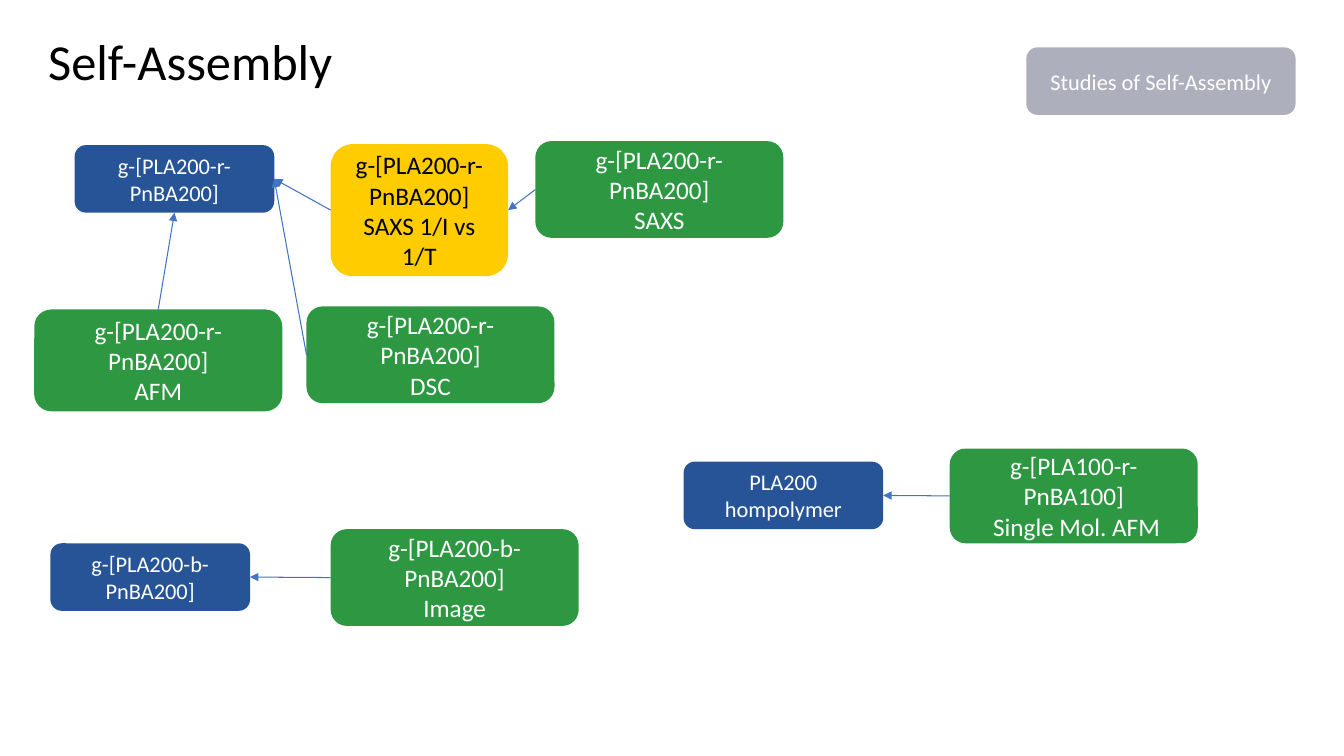
from pptx import Presentation
from pptx.dml.color import RGBColor
from pptx.enum.shapes import MSO_CONNECTOR, MSO_SHAPE
from pptx.enum.text import MSO_ANCHOR, PP_ALIGN
from pptx.oxml.ns import qn
from pptx.util import Inches, Pt
from lxml.etree import SubElement

WHITE = RGBColor(0xFF, 0xFF, 0xFF)
BLACK = RGBColor(0x00, 0x00, 0x00)
GRAY = RGBColor(0xAD, 0xAF, 0xBD)
YELLOW = RGBColor(0xFF, 0xCC, 0x00)
BLUE = RGBColor(0x27, 0x54, 0x97)
GREEN = RGBColor(0x2D, 0x97, 0x42)
ARROW_BLUE = RGBColor(0x44, 0x72, 0xC4)

FONT = "Calibri"
TOP, LEFT, BOTTOM, RIGHT = range(4)
TITLE = "Self-Assembly"

STYLES = {
    "section": (GRAY, WHITE, 16),
    "sample": (BLUE, WHITE, 16),
    "analysis": (YELLOW, BLACK, 18),
    "data": (GREEN, WHITE, 18),
}

BOXES = {
    "section": ("section", 10.18, 0.47, 2.67, 0.67, "Studies of Self-Assembly"),
    "saxs plot": ("analysis", 3.28, 1.43, 1.76, 1.31, "g-[PLA200-r-PnBA200]\nSAXS 1/I vs 1/T"),
    "random": ("sample", 0.74, 1.44, 1.98, 0.67, "g-[PLA200-r-PnBA200]"),
    "block": ("sample", 0.5, 5.39, 1.98, 0.67, "g-[PLA200-b-PnBA200]"),
    "saxs": ("data", 5.31, 1.4, 2.46, 0.96, "g-[PLA200-r-PnBA200]\nSAXS"),
    "dsc": ("data", 3.04, 3.04, 2.46, 0.96, "g-[PLA200-r-PnBA200]\nDSC"),
    "afm": ("data", 0.34, 3.07, 2.46, 1.01, "g-[PLA200-r-PnBA200]\nAFM"),
    "image": ("data", 3.28, 5.25, 2.46, 0.96, "g-[PLA200-b-PnBA200]\nImage"),
    "single": ("data", 9.42, 4.45, 2.46, 0.94, "g-[PLA100-r-PnBA100]\n Single Mol. AFM"),
    "homopolymer": ("sample", 6.78, 4.58, 1.98, 0.67, "PLA200 hompolymer"),
}

ARROWS = [
    ("saxs", LEFT, "saxs plot", RIGHT),
    ("saxs plot", LEFT, "random", RIGHT),
    ("dsc", LEFT, "random", RIGHT),
    ("afm", TOP, "random", BOTTOM),
    ("image", LEFT, "block", RIGHT),
    ("single", LEFT, "homopolymer", RIGHT),
]


def write_text(shape, text, size, color, align, anchor):
    frame = shape.text_frame
    frame.text = text
    frame.word_wrap = True
    frame.vertical_anchor = anchor
    for para in frame.paragraphs:
        para.alignment = align
        for span in para.runs:
            span.font.name = FONT
            span.font.size = Pt(size)
            span.font.color.rgb = color


def add_title(page):
    title = page.shapes.add_textbox(Inches(0.38), Inches(0.29), Inches(11.5), Inches(0.67))
    write_text(title, TITLE, 36, BLACK, PP_ALIGN.LEFT, MSO_ANCHOR.BOTTOM)
    title.text_frame.paragraphs[0].line_spacing = 0.9


def add_box(page, style, left, top, width, height, text):
    fill, color, size = STYLES[style]
    box = page.shapes.add_shape(
        MSO_SHAPE.ROUNDED_RECTANGLE, Inches(left), Inches(top), Inches(width), Inches(height)
    )
    box.shadow.inherit = False
    box.fill.solid()
    box.fill.fore_color.rgb = fill
    box.line.fill.background()
    write_text(box, text, size, color, PP_ALIGN.CENTER, MSO_ANCHOR.MIDDLE)
    return box


def add_arrow(page, source, source_side, target, target_side):
    arrow = page.shapes.add_connector(MSO_CONNECTOR.STRAIGHT, 0, 0, 0, 0)
    arrow.begin_connect(source, source_side)
    arrow.end_connect(target, target_side)
    arrow.line.color.rgb = ARROW_BLUE
    arrow.line.width = Pt(0.75)
    SubElement(arrow.line._get_or_add_ln(), qn("a:tailEnd"), type="triangle")
    SubElement(arrow._element.spPr, qn("a:effectLst"))


def main():
    deck = Presentation()
    deck.slide_width = Inches(13.33)
    deck.slide_height = Inches(7.5)
    page = deck.slides.add_slide(deck.slide_layouts[6])
    add_title(page)
    boxes = {name: add_box(page, *details) for name, details in BOXES.items()}
    for source, source_side, target, target_side in ARROWS:
        add_arrow(page, boxes[source], source_side, boxes[target], target_side)
    deck.save("out.pptx")


if __name__ == "__main__":
    main()
